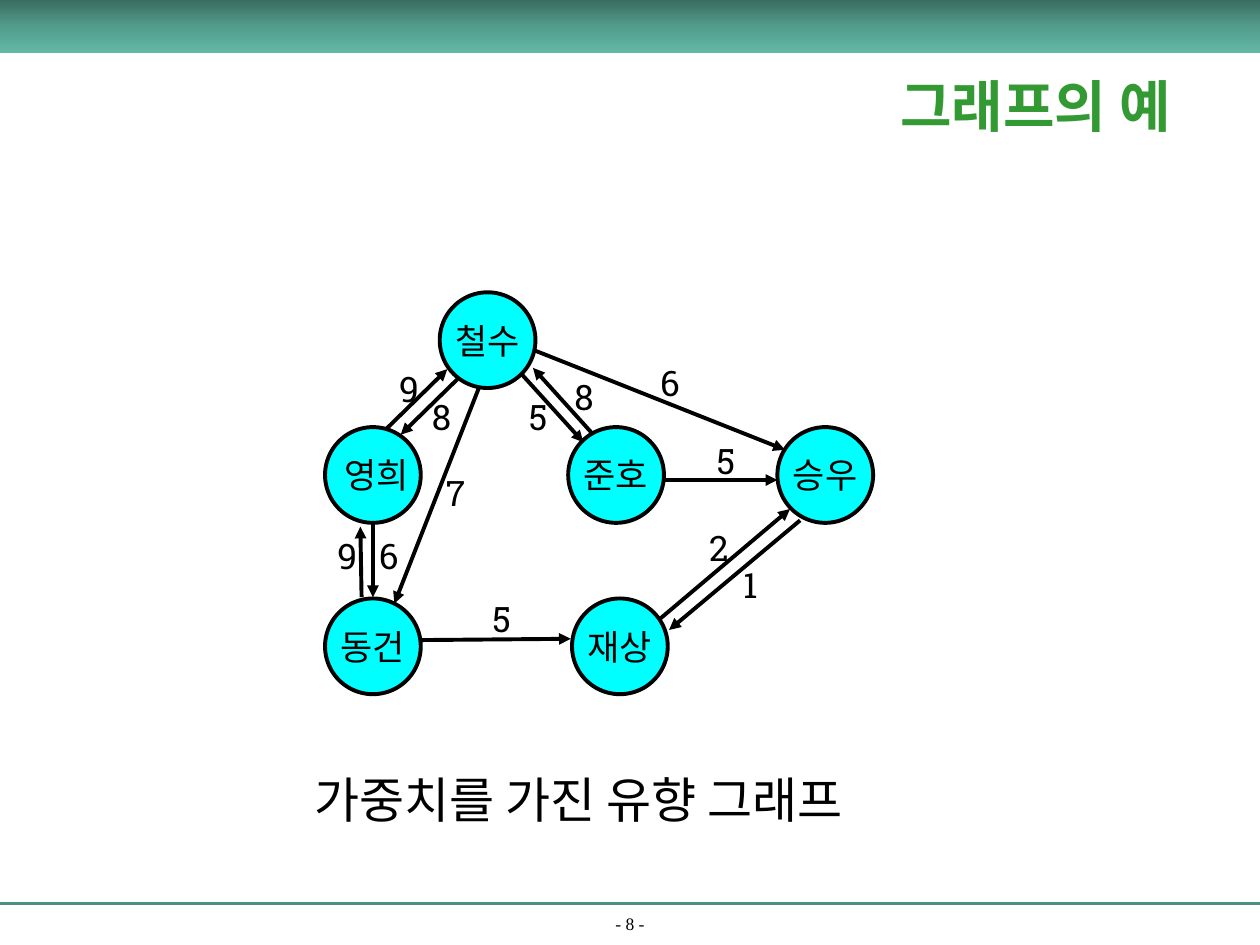
from copy import deepcopy
from dataclasses import dataclass

from pptx import Presentation
from pptx.dml.color import RGBColor
from pptx.enum.shapes import MSO_CONNECTOR, MSO_SHAPE
from pptx.enum.text import MSO_ANCHOR, MSO_AUTO_SIZE, PP_ALIGN
from pptx.oxml.ns import qn
from pptx.util import Inches, Pt

OVAL, RECTANGLE, STRAIGHT = MSO_SHAPE.OVAL, MSO_SHAPE.RECTANGLE, MSO_CONNECTOR.STRAIGHT
MIDDLE, BOTTOM = MSO_ANCHOR.MIDDLE, MSO_ANCHOR.BOTTOM
LEFT, CENTER = PP_ALIGN.LEFT, PP_ALIGN.CENTER
FIT_SHAPE, NO_FIT = MSO_AUTO_SIZE.SHAPE_TO_FIT_TEXT, MSO_AUTO_SIZE.NONE
TITLE_ONLY = 5


@dataclass(frozen=True)
class Theme:
    ink: str = "000000"
    title: str = "339933"
    node: str = "00FFFF"
    rule: str = "4C9282"
    band: tuple = ((0, "3A6D62"), (0.5, "539C8B"), (1, "62B9A5"))
    korean_font: str = "Noto Sans CJK KR"
    weight_font: str = "Roboto Slab"
    caption_font: str = "Arial"
    serif_font: str = "Times New Roman"
    title_size: int = 32
    caption_size: int = 28
    graph_size: int = 20
    page_size: int = 10
    graph_line: float = 2.25
    rule_line: float = 1.5


@dataclass(frozen=True)
class Person:
    name: str
    left: float
    top: float


@dataclass(frozen=True)
class Edge:
    start: tuple
    end: tuple
    weight: int
    label: tuple  # left and top of the weight's box


THEME = Theme()
NODE_SIZE = 0.76
WEIGHT_BOX = (0.37, 0.43)

PEOPLE = [
    Person("철수", 3.49, 2.32),
    Person(" 영희", 2.58, 3.39),
    Person("준호", 4.51, 3.39),
    Person("승우", 6.17, 3.39),
    Person("동건", 2.58, 4.75),
    Person("재상", 4.54, 4.75),
]

EDGES = [
    Edge((3.06, 3.41), (3.55, 2.93), 9, (3.07, 2.87)),  # 영희 → 철수
    Edge((3.63, 3.01), (3.18, 3.45), 8, (3.33, 3.09)),  # 철수 → 영희
    Edge((4.14, 2.97), (4.63, 3.51), 5, (4.10, 3.09)),  # 철수 → 준호
    Edge((4.70, 3.44), (4.23, 2.92), 8, (4.46, 2.93)),  # 준호 → 철수
    Edge((4.24, 2.78), (6.23, 3.57), 6, (5.14, 2.82)),  # 철수 → 승우
    Edge((3.80, 3.08), (3.13, 4.79), 7, (3.44, 3.69)),  # 철수 → 동건
    Edge((5.28, 3.81), (6.17, 3.81), 5, (5.59, 3.44)),  # 준호 → 승우
    Edge((2.96, 4.16), (2.96, 4.74), 6, (2.91, 4.19)),  # 영희 → 동건
    Edge((2.87, 4.74), (2.86, 4.18), 9, (2.58, 4.19)),  # 동건 → 영희
    Edge((3.34, 5.08), (4.53, 5.07), 5, (3.81, 4.69)),  # 동건 → 재상
    Edge((5.24, 4.91), (6.27, 4.04), 2, (5.53, 4.13)),  # 재상 → 승우
    Edge((6.35, 4.13), (5.31, 5.00), 1, (5.80, 4.42)),  # 승우 → 재상
]


def rgb(color: str) -> RGBColor:
    return RGBColor.from_string(color)


def write(frame, text: str, font_name: str, size: int, align=LEFT,
          color: str = THEME.ink, bold: bool = False) -> None:
    frame.text = text
    paragraph = frame.paragraphs[0]
    paragraph.alignment = align
    run = paragraph.runs[0]
    font = run.font
    font.name, font.size, font.bold = font_name, Pt(size), bold
    font.color.rgb = rgb(color)
    east_asian = run._r.get_or_add_rPr().makeelement(
        qn("a:ea"), {"typeface": THEME.korean_font})
    run._r.rPr.find(qn("a:latin")).addnext(east_asian)


def add_line(shapes, start: tuple, end: tuple, color: str, width: float,
             arrow: bool = False) -> None:
    line = shapes.add_connector(STRAIGHT, *map(Inches, start + end))
    line.line.color.rgb = rgb(color)
    line.line.width = Pt(width)
    properties = line._element.spPr
    if arrow:
        outline = line.line._get_or_add_ln()
        outline.append(outline.makeelement(qn("a:tailEnd"), {"type": "triangle"}))
    properties.append(properties.makeelement(qn("a:effectLst"), {}))


def add_person(shapes, person: Person) -> None:
    circle = shapes.add_shape(OVAL, Inches(person.left), Inches(person.top),
                              Inches(NODE_SIZE), Inches(NODE_SIZE))
    circle.shadow.inherit = False
    circle.fill.solid()
    circle.fill.fore_color.rgb = rgb(THEME.node)
    circle.line.color.rgb = rgb(THEME.ink)
    circle.line.width = Pt(THEME.graph_line)
    frame = circle.text_frame
    frame.word_wrap = False
    frame.vertical_anchor = MIDDLE
    write(frame, person.name, THEME.korean_font, THEME.graph_size, CENTER)


def add_label(shapes, box: tuple, text: str, font_name: str, size: int) -> None:
    frame = shapes.add_textbox(*map(Inches, box)).text_frame
    frame.word_wrap = False
    frame.auto_size = FIT_SHAPE
    write(frame, text, font_name, size)


def add_band(shapes) -> None:
    band = shapes.add_shape(RECTANGLE, 0, 0, Inches(10), Inches(0.42))
    band.shadow.inherit = False
    band.line.fill.background()
    band.fill.gradient()
    band.fill.gradient_angle = 270
    stop_list = band._element.spPr.find(".//" + qn("a:gsLst"))
    stop_list.append(deepcopy(stop_list[0]))
    for stop, (position, color) in zip(band.fill.gradient_stops, THEME.band):
        stop.position = position
        stop.color.rgb = rgb(color)


def add_page_number(shapes) -> None:
    frame = shapes.add_textbox(0, Inches(7.24), Inches(10), Inches(0.22)).text_frame
    frame.word_wrap = True
    frame.vertical_anchor = BOTTOM
    write(frame, "- 8 -", THEME.serif_font, THEME.page_size, CENTER)


def format_title(title) -> None:
    title.left, title.top = Inches(6.44), Inches(0.42)
    title.width, title.height = Inches(3.56), Inches(0.83)
    frame = title.text_frame
    frame.word_wrap = True
    frame.auto_size = NO_FIT
    frame.vertical_anchor = MIDDLE
    write(frame, "그래프의 예", THEME.serif_font, THEME.title_size, CENTER,
          THEME.title, bold=True)


def main() -> None:
    deck = Presentation()
    deck.slide_width, deck.slide_height = Inches(10), Inches(7.5)
    slide = deck.slides.add_slide(deck.slide_layouts[TITLE_ONLY])
    shapes = slide.shapes

    # Page frame
    add_line(shapes, (0, 7.17), (10, 7.17), THEME.rule, THEME.rule_line)
    add_page_number(shapes)
    add_band(shapes)
    format_title(shapes.title)

    # Weighted directed graph
    graph = shapes.add_group_shape().shapes
    for person in PEOPLE:
        add_person(graph, person)
    for edge in EDGES:
        add_line(graph, edge.start, edge.end, THEME.ink, THEME.graph_line, arrow=True)
    for edge in EDGES:
        add_label(shapes, edge.label + WEIGHT_BOX, str(edge.weight),
                  THEME.weight_font, THEME.graph_size)

    # Caption
    add_label(shapes, (2.4, 6.06, 4.8, 0.57), "가중치를 가진 유향 그래프",
              THEME.caption_font, THEME.caption_size)

    deck.save("out.pptx")


if __name__ == "__main__":
    main()
